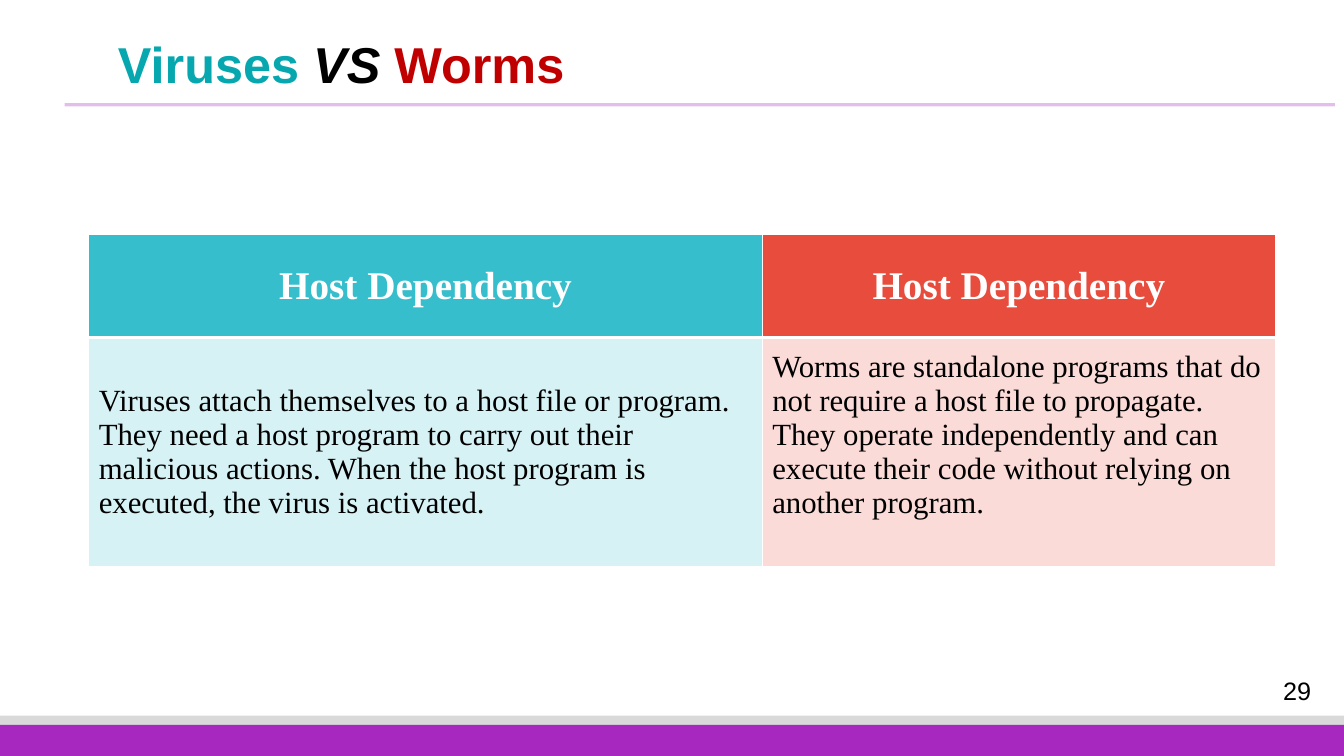
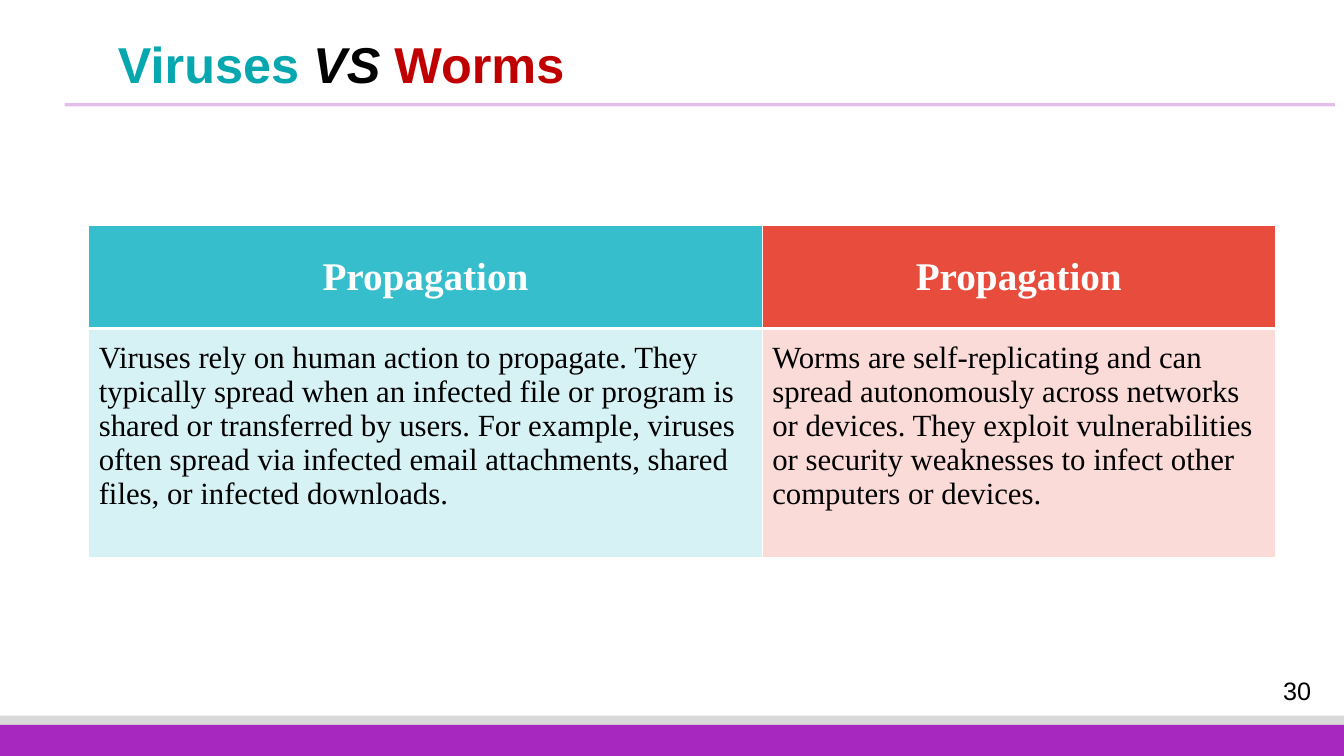
import pptx
import pptx.dml.color
import pptx.enum.shapes
import pptx.enum.text
import pptx.oxml.ns
import pptx.util
from lxml import etree

Inches = pptx.util.Inches
Pt = pptx.util.Pt
RGBColor = pptx.dml.color.RGBColor
Align = pptx.enum.text.PP_ALIGN
Anchor = pptx.enum.text.MSO_ANCHOR
qn = pptx.oxml.ns.qn

WHITE = RGBColor(0xFF, 0xFF, 0xFF)
BLACK = RGBColor(0x00, 0x00, 0x00)
GREY = RGBColor(0xD9, 0xD9, 0xD9)
PURPLE = RGBColor(0xA7, 0x28, 0xBE)
TEAL = RGBColor(0x07, 0xA7, 0xAF)
DARK_RED = RGBColor(0xC0, 0x00, 0x00)
HEADER_FILLS = (RGBColor(0x37, 0xBE, 0xCC), RGBColor(0xE7, 0x4C, 0x3C))
BODY_FILLS = (RGBColor(0xD7, 0xF2, 0xF5), RGBColor(0xFA, 0xDB, 0xD8))

TITLE_SPANS = (("Viruses ", TEAL, False), ("VS ", BLACK, True), ("Worms", DARK_RED, False))
FIRST_NUMBER = 29
COMPARISONS = (
    (
        "Host Dependency",
        2.33,
        (
            ("Viruses attach themselves to a host file or program. They need a host program "
             "to carry out their malicious actions. When the host program is executed, "
             "the virus is activated.", 0.05),
            ("Worms are standalone programs that do not require a host file to propagate. "
             "They operate independently and can execute their code without relying on "
             "another program.", 0.39),
        ),
    ),
    (
        "Propagation",
        2.24,
        (
            ("Viruses rely on human action to propagate. They typically spread when an "
             "infected file or program is shared or transferred by users. For example, "
             "viruses often spread via infected email attachments, shared files, or "
             "infected downloads.", 0.39),
            ("Worms are self-replicating and can spread autonomously across networks or "
             "devices. They exploit vulnerabilities or security weaknesses to infect other "
             "computers or devices.", 0.39),
        ),
    ),
)


class Slides:
    heading_font = "Arial"
    table_font = "Times New Roman"

    def __init__(self):
        self.deck = pptx.Presentation()
        self.deck.slide_width = Inches(13.33)
        self.deck.slide_height = Inches(7.5)
        self.page = None

    def new_page(self, number):
        self.page = self.deck.slides.add_slide(self.deck.slide_layouts[5])
        self.band(7.1, 0.4, GREY)
        self.band(7.19, 0.31, PURPLE)
        self.rule()
        self.number(number)
        self.title()

    def span(self, para, text, font, size, color, bold=False, italic=False):
        span = para.add_run()
        span.text = text
        span.font.name = font
        span.font.size = Pt(size)
        span.font.color.rgb = color
        span.font.bold = bold
        span.font.italic = italic

    def band(self, top, height, color):
        band = self.page.shapes.add_shape(
            pptx.enum.shapes.MSO_SHAPE.RECTANGLE,
            0, Inches(top), self.deck.slide_width, Inches(height))
        band.shadow.inherit = False
        band.fill.solid()
        band.fill.fore_color.rgb = color
        band.line.fill.background()

    def rule(self):
        rule = self.page.shapes.add_connector(
            pptx.enum.shapes.MSO_CONNECTOR.STRAIGHT,
            Inches(0.64), Inches(1.04), Inches(13.24), Inches(1.04))
        rule.line.width = Pt(2.25)
        rule.line.color.rgb = PURPLE
        properties = rule.element.spPr
        color = next(properties.iter(qn("a:srgbClr")))
        etree.SubElement(color, qn("a:alpha"), val="30000")
        etree.SubElement(properties, qn("a:effectLst"))

    def number(self, number):
        box = self.page.shapes.add_textbox(
            Inches(12.41), Inches(6.65), Inches(0.91), Inches(0.39))
        frame = box.text_frame
        frame.word_wrap = True
        frame.vertical_anchor = Anchor.MIDDLE
        para = frame.paragraphs[0]
        para.alignment = Align.CENTER
        self.span(para, str(number), self.heading_font, 18, BLACK)

    def title(self):
        box = self.page.shapes.title
        box.left, box.top = Inches(1.07), Inches(0.35)
        box.width, box.height = Inches(11.37), Inches(0.48)
        frame = box.text_frame
        frame.auto_size = pptx.enum.text.MSO_AUTO_SIZE.NONE
        frame.vertical_anchor = Anchor.TOP
        para = frame.paragraphs[0]
        para.alignment = Align.LEFT
        para.line_spacing = 0.9
        for text, color, italic in TITLE_SPANS:
            self.span(para, text, self.heading_font, 36, color, True, italic)

    def borders(self, cell, top, bottom):
        properties = cell._tc.get_or_add_tcPr()
        for side, width in (("L", 1), ("R", 1), ("T", top), ("B", bottom)):
            line = etree.SubElement(properties, qn(f"a:ln{side}"), w=str(Pt(width)))
            fill = etree.SubElement(line, qn("a:solidFill"))
            etree.SubElement(fill, qn("a:srgbClr"), val=str(WHITE))

    def cell(self, cell, text, fill, header, bottom_margin=0.05):
        self.borders(cell, 1 if header else 3, 3 if header else 1)
        cell.fill.solid()
        cell.fill.fore_color.rgb = fill
        cell.vertical_anchor = Anchor.MIDDLE
        cell.margin_bottom = Inches(bottom_margin)
        para = cell.text_frame.paragraphs[0]
        para.alignment = Align.CENTER if header else Align.LEFT
        self.span(para, text, self.table_font, 28 if header else 22,
                  WHITE if header else BLACK, header)

    def table(self, heading, top, bodies):
        widths, heights = (6.68, 5.09), (1.02, 2.12)
        table = self.page.shapes.add_table(
            2, 2, Inches(0.88), Inches(top),
            Inches(sum(widths)), Inches(sum(heights))).table
        table.horz_banding = False
        for row, height in zip(table.rows, heights):
            row.height = Inches(height)
        for index, (text, bottom_margin) in enumerate(bodies):
            table.columns[index].width = Inches(widths[index])
            self.cell(table.cell(0, index), heading, HEADER_FILLS[index], True)
            self.cell(table.cell(1, index), text, BODY_FILLS[index], False, bottom_margin)


def main():
    slides = Slides()
    for number, comparison in enumerate(COMPARISONS, FIRST_NUMBER):
        slides.new_page(number)
        slides.table(*comparison)
    slides.deck.save("out.pptx")


if __name__ == "__main__":
    main()
